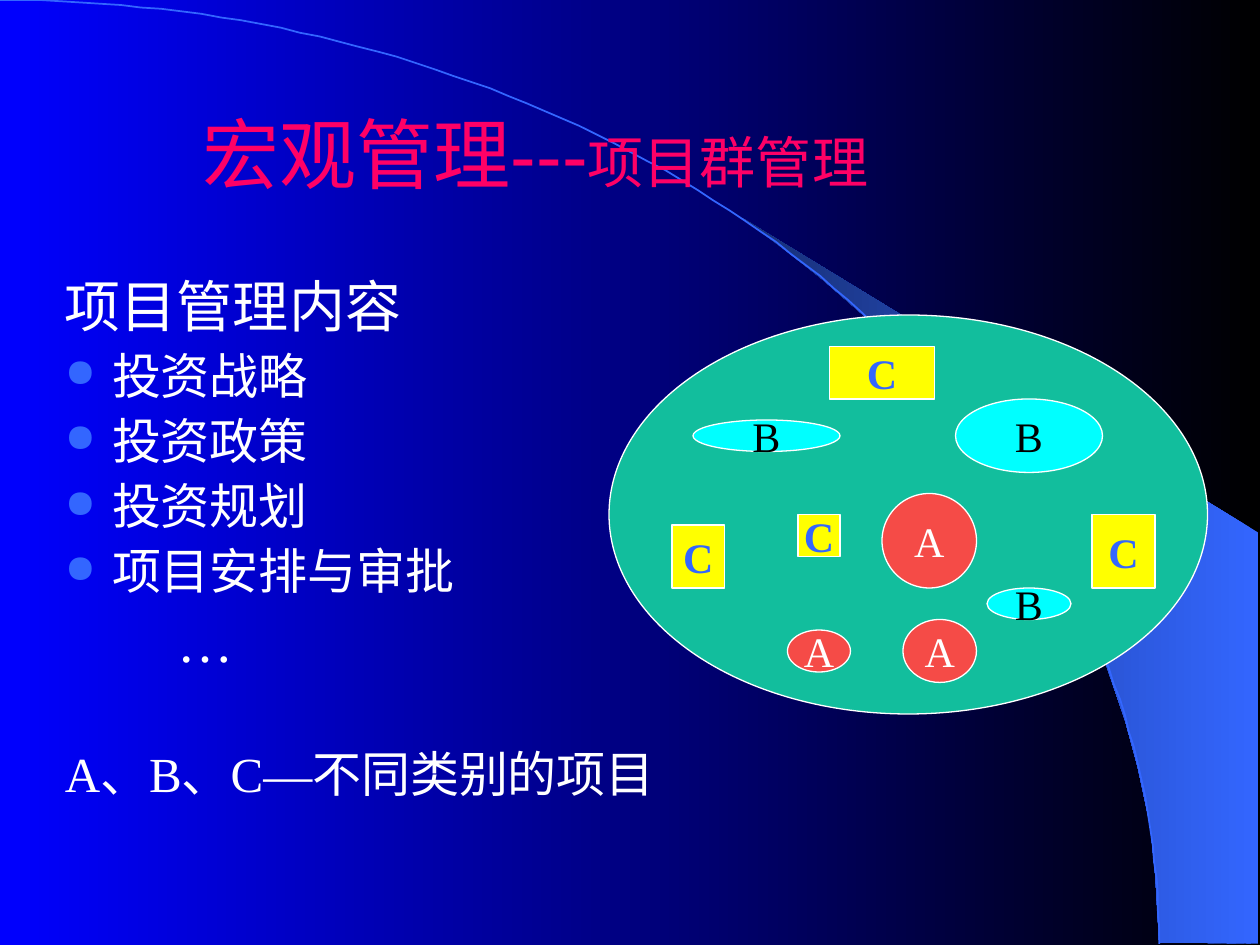
import math
from dataclasses import dataclass
from lxml import etree
from pptx import Presentation
from pptx import util as u
from pptx.dml.color import RGBColor
from pptx.enum import shapes, text
from pptx.oxml.ns import qn


@dataclass(frozen=True)
class Theme:
    black: str = "000000"
    white: str = "FFFFFF"
    night: str = "0000FF"
    blue: str = "3366FF"
    navy: str = "172F75"
    pink: str = "FF0066"
    green: str = "12BE9D"
    yellow: str = "FFFF00"
    red: str = "F54B47"
    cyan: str = "00FFFF"
    sans: str = "Arial"
    serif: str = "Times New Roman"
    title: int = 44
    head: int = 32
    body: int = 28
    mark: int = 24


def write(para, words, size, color, face=Theme.serif, bold=False):
    run = para.add_run()
    run.text = words
    run.font.size = u.Pt(size)
    run.font.name = face
    run.font.bold = bold
    run.font.color.rgb = RGBColor.from_string(color)


def blend(fill, first, last):
    fill.gradient()
    fill.gradient_angle = 180
    for stop, color in zip(fill.gradient_stops, (first, last)):
        stop.color.rgb = RGBColor.from_string(color)


look = Theme()
deck = Presentation()
deck.slide_width, deck.slide_height = u.Cm(25.4), u.Cm(19.05)
slide = deck.slides.add_slide(deck.slide_layouts[6])
blend(slide.background.fill, look.black, look.night)

inch = u.Cm(2.54)
edge = [(920, 748), (999, 749), (999, 423), (589, 173), (624, 199), (653, 222),
        (685, 250), (716, 280), (762, 330), (803, 384), (832, 431), (858, 479),
        (878, 528), (893, 572), (903, 609), (913, 656), (917, 696)]
curve = [(round(920 * math.sin(math.radians(deg))),
          round(749 - 749 * math.cos(math.radians(deg)))) for deg in range(91)]
forms = []
for points, closed in ((edge, True), (curve, False)):
    pen = slide.shapes.build_freeform(*points[0], scale=inch / 100)
    pen.add_line_segments(points[1:], close=closed)
    form = pen.convert_to_shape()
    form.shadow.inherit = False
    forms.append(form)
wing, arc = forms
blend(wing.fill, look.blue, look.navy)
wing.line.fill.background()
arc.fill.background()
arc.line.color.rgb = RGBColor.from_string(look.blue)
arc.line.width = u.Pt(1)

title = slide.shapes.add_textbox(u.Cm(2.33), u.Cm(1.48), u.Cm(16.93), u.Cm(3.18)).text_frame
title.word_wrap = True
title.vertical_anchor = text.MSO_ANCHOR.MIDDLE
para = title.paragraphs[0]
para.alignment = text.PP_ALIGN.CENTER
write(para, "宏观管理---", size=look.title, color=look.pink, face=look.sans)
write(para, "项目群管理", size=look.head, color=look.pink, face=look.sans)

body = slide.shapes.add_textbox(u.Cm(1.06), u.Cm(5.5), u.Cm(15.03), u.Cm(11.43)).text_frame
body.word_wrap = True
hang = 0.95
lines = [("项目管理内容", look.head, 0, hang, -hang, False)]
lines += [(item, look.body, 7, hang, -hang, True)
          for item in ("投资战略", "投资政策", "投资规划", "项目安排与审批")]
lines += [("…", look.head, 8, 2.26, 0, False),
          ("A、B、C—不同类别的项目", look.body, 43, hang, -hang, False)]
for row, (words, size, gap, left, first, dot) in enumerate(lines):
    para = body.add_paragraph() if row else body.paragraphs[0]
    para.line_spacing = 0.9
    para.space_before = u.Pt(gap)
    prop = para._p.get_or_add_pPr()
    prop.set("marL", str(u.Cm(left)))
    prop.set("indent", str(u.Cm(first)))
    if dot:
        tint = etree.SubElement(prop, qn("a:buClr"))
        etree.SubElement(tint, qn("a:srgbClr"), val=look.blue)
        etree.SubElement(prop, qn("a:buSzPct"), val="80000")
        etree.SubElement(prop, qn("a:buChar"), char="●")
    else:
        etree.SubElement(prop, qn("a:buNone"))
    write(para, words, size=size, color=look.white)

oval, rect = shapes.MSO_SHAPE.OVAL, shapes.MSO_SHAPE.RECTANGLE
kinds = [
    ("", oval, look.green, look.white, [(58, 30, 57, 38)]),
    ("C", rect, look.yellow, look.blue,
     [(64, 50, 5, 6), (76, 49, 4, 4), (79, 33, 10, 5), (104, 49, 6, 7)]),
    ("A", oval, look.red, look.white, [(75, 60, 6, 4), (86, 59, 7, 6), (84, 47, 9, 9)]),
    ("B", oval, look.cyan, look.black, [(66, 40, 14, 3), (94, 56, 8, 3), (91, 38, 14, 7)]),
]
group = slide.shapes.add_group_shape()
for name, kind, fill, ink, spots in kinds:
    for spot in spots:
        item = group.shapes.add_shape(kind, *(round(step * inch / 12) for step in spot))
        item.shadow.inherit = False
        item.fill.solid()
        item.fill.fore_color.rgb = RGBColor.from_string(fill)
        item.line.color.rgb = RGBColor.from_string(look.white)
        item.line.width = u.Pt(0.75)
        if name:
            frame = item.text_frame
            frame.word_wrap = False
            frame.vertical_anchor = text.MSO_ANCHOR.MIDDLE
            para = frame.paragraphs[0]
            para.alignment = text.PP_ALIGN.CENTER
            write(para, name, size=look.mark, color=ink, bold=kind == rect)

deck.save("out.pptx")
